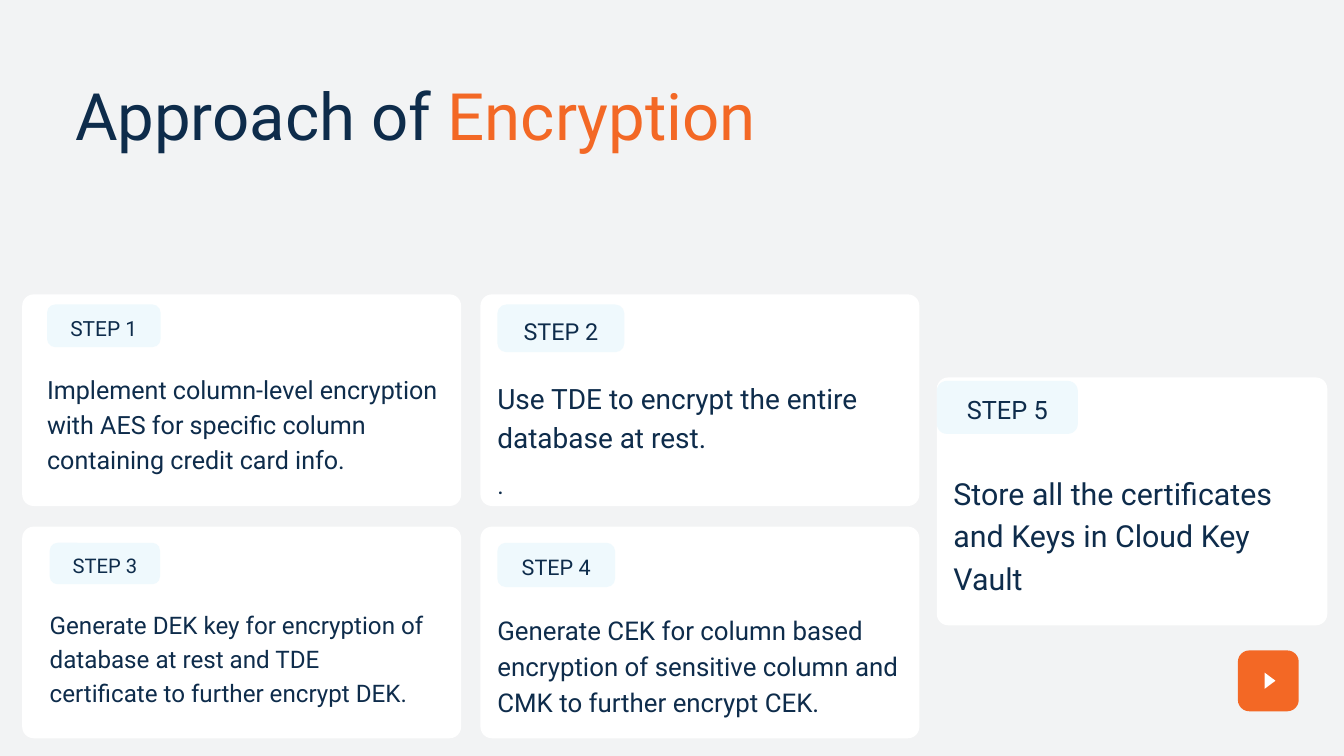
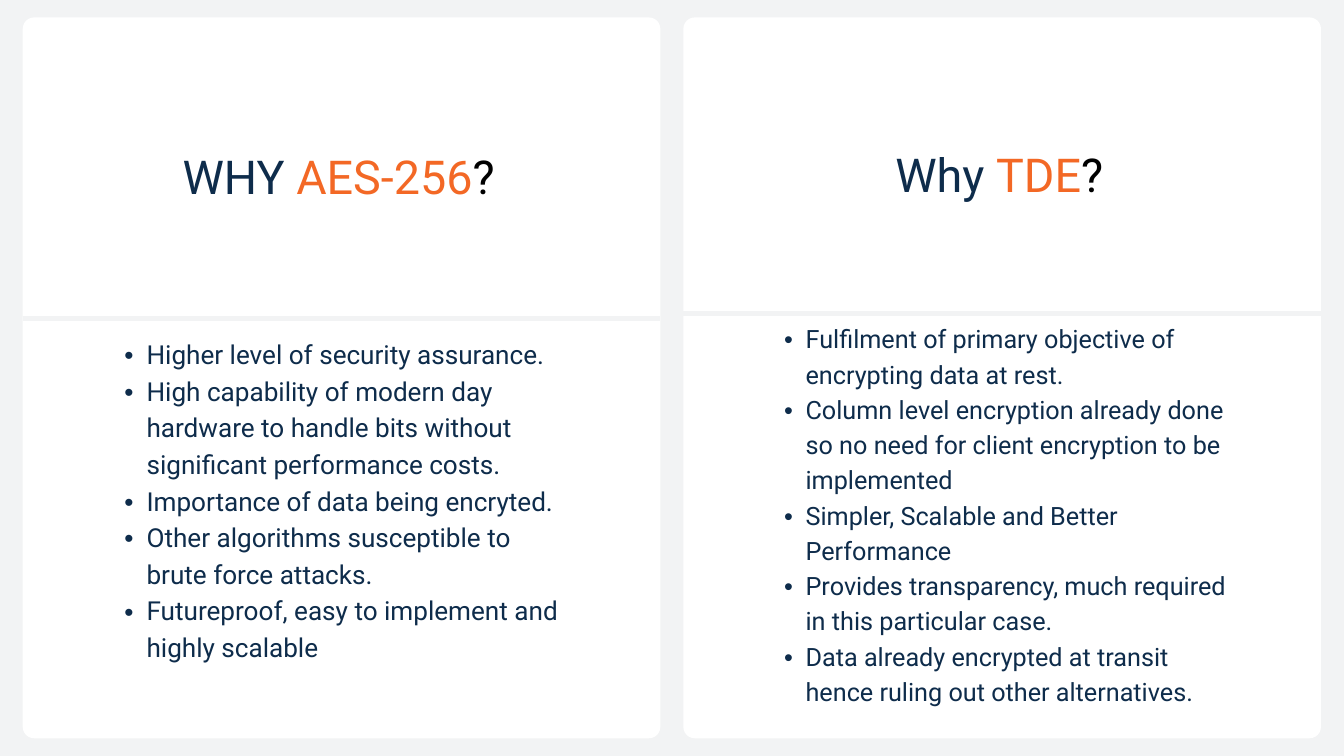
from lxml.etree import SubElement
from pptx import Presentation
from pptx.dml.color import RGBColor
from pptx.enum.shapes import MSO_SHAPE as Preset
from pptx.enum.text import MSO_ANCHOR as Anchor, PP_ALIGN as Align
from pptx.oxml.ns import qn
from pptx.util import Cm, Pt

COLORS = {
    "background": "F2F3F4",
    "card": "FFFFFF",
    "badge": "EFF9FD",
    "navy": "0E2C4B",
    "orange": "F36825",
    "black": "000000",
}
FONT = "Roboto"
CARD_RADIUS = 0.43
BODY_LEADING = 1.4
TITLE_LEADING = 1.2

# Left edges and top edges of the two-by-two card grid, then the card size
GRID_LEFTS = (0.84, 18.16)
GRID_TOPS = (11.13, 19.91)
GRID_CARD = (16.59, 8)

# card box, badge (left, top, width), label size, body box, body text
STEPS = [
    ((GRID_LEFTS[0], GRID_TOPS[0], *GRID_CARD), (1.78, 11.51, 4.29), 22.4,
     (1.78, 13.97, 14.86, 5.18),
     "Implement column-level encryption with AES for specific column "
     "containing credit card info."),
    ((GRID_LEFTS[1], GRID_TOPS[0], *GRID_CARD), (18.8, 11.51, 4.8), 25,
     (18.8, 14.22, 16.59, 2.84),
     "Use TDE to encrypt the entire database at rest."),
    ((GRID_LEFTS[0], GRID_TOPS[1], *GRID_CARD), (1.88, 20.52, 4.17), 21.6,
     (1.88, 22.91, 14.35, 3.73),
     "Generate DEK key for encryption of database at rest and TDE "
     "certificate to further encrypt DEK."),
    ((GRID_LEFTS[1], GRID_TOPS[1], *GRID_CARD), (18.8, 20.52, 4.45), 23.1,
     (18.8, 23.04, 15.32, 3.99),
     "Generate CEK for column based encryption of sensitive column and "
     "CMK to further encrypt CEK."),
    ((35.41, 14.27, 14.76, 9.37), (35.41, 14.4, 5.33), 27.1,
     (36.04, 17.73, 13.49, 4.7),
     "Store all the certificates and Keys in Cloud Key Vault"),
]

# panel left, row heights, question spans, bullet size, bullet indent, bullets
REASONS = [
    (0.86, (10.62, 13.67),
     [("WHY ", "navy"), ("AES-256", "orange"), ("?", "black")], 28, 0.84, [
         "Higher level of security assurance.",
         "High capability of modern day hardware to handle bits without "
         "significant performance costs.",
         "Importance of data being encryted.",
         "Other algorithms susceptible to brute force attacks.",
         "Futureproof, easy to implement and highly scalable",
     ]),
    (25.83, (10.44, 15.11),
     [("Why ", "navy"), ("TDE", "orange"), ("?", "black")], 27, 0.81, [
         "Fulfilment of primary objective of encrypting data at rest.",
         "Column level encryption already done so no need for client "
         "encryption to be implemented",
         "Simpler, Scalable and Better Performance",
         "Provides transparency, much required in this particular case.",
         "Data already encrypted at transit hence ruling out other "
         "alternatives.",
     ]),
]
PANEL_TOP, PANEL_WIDTH, PANEL_HEIGHT = 0.66, 24.1, 27.25
TABLE_TOP = 1.42
TABLE_COLUMNS = (3, 17.88, 3.22)


def rgb(name):
    return RGBColor.from_string(COLORS[name])


def add_bullet(para, indent):
    para.level = 1
    properties = para._p.get_or_add_pPr()
    properties.set("marL", str(Cm(2 * indent)))
    properties.set("indent", str(-Cm(indent)))
    SubElement(properties, qn("a:buFont"), typeface="Arial")
    SubElement(properties, qn("a:buChar"), char="•")


def write_text(frame, paragraphs, size, leading=BODY_LEADING,
               align=Align.LEFT, bullet_indent=None):
    """Fill a frame with paragraphs, each a list of (text, colour) spans."""
    frame.word_wrap = True
    for index, spans in enumerate(paragraphs):
        para = frame.add_paragraph() if index else frame.paragraphs[0]
        para.alignment = align
        para.line_spacing = Pt(size * leading)
        if bullet_indent:
            add_bullet(para, bullet_indent)
        for text, color in spans:
            span = para.add_run()
            span.text = text
            span.font.name = FONT
            span.font.size = Pt(size)
            span.font.color.rgb = rgb(color)


def add_text(slide, place, spans, size, **text_format):
    frame = slide.shapes.add_textbox(*map(Cm, place)).text_frame
    frame.margin_left = frame.margin_right = 0
    frame.margin_top = frame.margin_bottom = 0
    write_text(frame, [spans], size, **text_format)


def add_filled(slide, preset, place, color):
    shape = slide.shapes.add_shape(preset, *map(Cm, place))
    shape.shadow.inherit = False
    shape.fill.solid()
    shape.fill.fore_color.rgb = rgb(color)
    shape.line.fill.background()
    return shape


def add_rounded(slide, place, color, radius=CARD_RADIUS):
    shape = add_filled(slide, Preset.ROUNDED_RECTANGLE, place, color)
    shape.adjustments[0] = radius / min(place[2:])


def add_badge(slide, left, top, width, label, size):
    """Draw a step badge; height, corners and label box follow its width."""
    height = 0.376 * width
    add_rounded(slide, (left, top, width, height), "badge", 0.19 * height)
    label_box = (left + 0.11 * width, top + 0.16 * height,
                 0.78 * width, 0.64 * height)
    add_text(slide, label_box, [(label, "navy")], size, align=Align.CENTER)


def add_play_button(slide):
    add_rounded(slide, (46.79, 24.59, 2.3, 2.3), "orange")
    arrow = add_filled(slide, Preset.ISOSCELES_TRIANGLE,
                       (47.7, 25.53, 0.61, 0.41), "card")
    arrow.rotation = 90


def set_borders(cell, ruled_side):
    """Rule one side of a cell in the background colour, clear the rest."""
    properties = cell._tc.get_or_add_tcPr()
    for side in ("lnL", "lnR", "lnT", "lnB"):
        line = SubElement(properties, qn(f"a:{side}"))
        if side == ruled_side:
            line.set("w", str(Pt(6)))
            fill = SubElement(line, qn("a:solidFill"))
            SubElement(fill, qn("a:srgbClr"), val=COLORS["background"])
        else:
            line.set("w", "0")
            SubElement(line, qn("a:noFill"))


def add_reason_table(slide, left, row_heights, question, size, indent, bullets):
    place = (left, TABLE_TOP, sum(TABLE_COLUMNS), sum(row_heights))
    table = slide.shapes.add_table(
        len(row_heights), len(TABLE_COLUMNS), *map(Cm, place)).table
    table.first_row = table.horz_banding = False
    for column, width in zip(table.columns, TABLE_COLUMNS):
        column.width = Cm(width)
    for row, height, ruled_side in zip(table.rows, row_heights, ("lnB", "lnT")):
        row.height = Cm(height)
        for cell in row.cells:
            set_borders(cell, ruled_side)
            cell.fill.background()
            cell.vertical_anchor = Anchor.MIDDLE
            cell.margin_left = cell.margin_right = 0
            cell.margin_top = cell.margin_bottom = 0
    write_text(table.cell(0, 1).text_frame, [question], 50,
               leading=TITLE_LEADING, align=Align.CENTER)
    write_text(table.cell(1, 1).text_frame,
               [[(bullet, "navy")] for bullet in bullets], size,
               bullet_indent=indent)


def add_page(deck):
    page = deck.slides.add_slide(deck.slide_layouts[6])
    page.background.fill.solid()
    page.background.fill.fore_color.rgb = rgb("background")
    return page


def build_approach(deck):
    page = add_page(deck)
    for card, *_ in STEPS:
        add_rounded(page, card, "card")
    for number, (_, badge, size, body_box, body) in enumerate(STEPS, start=1):
        add_badge(page, *badge, f"STEP {number}", size)
        add_text(page, body_box, [(body, "navy")], round(1.2 * size, 1))
    add_text(page, (18.8, 17.58, 16.59, 1.19), [(".", "navy")], 26.3)
    add_play_button(page)
    add_text(page, (2.84, 2.84, 31.9, 2.95),
             [("Approach of ", "navy"), ("Encryption", "orange")], 70,
             leading=TITLE_LEADING)


def build_reasons(deck):
    page = add_page(deck)
    for left, *content in REASONS:
        add_rounded(page, (left, PANEL_TOP, PANEL_WIDTH, PANEL_HEIGHT), "card")
        add_reason_table(page, left, *content)


def main():
    deck = Presentation()
    deck.slide_width, deck.slide_height = Cm(50.8), Cm(28.58)
    build_approach(deck)
    build_reasons(deck)
    deck.save("out.pptx")


if __name__ == "__main__":
    main()
